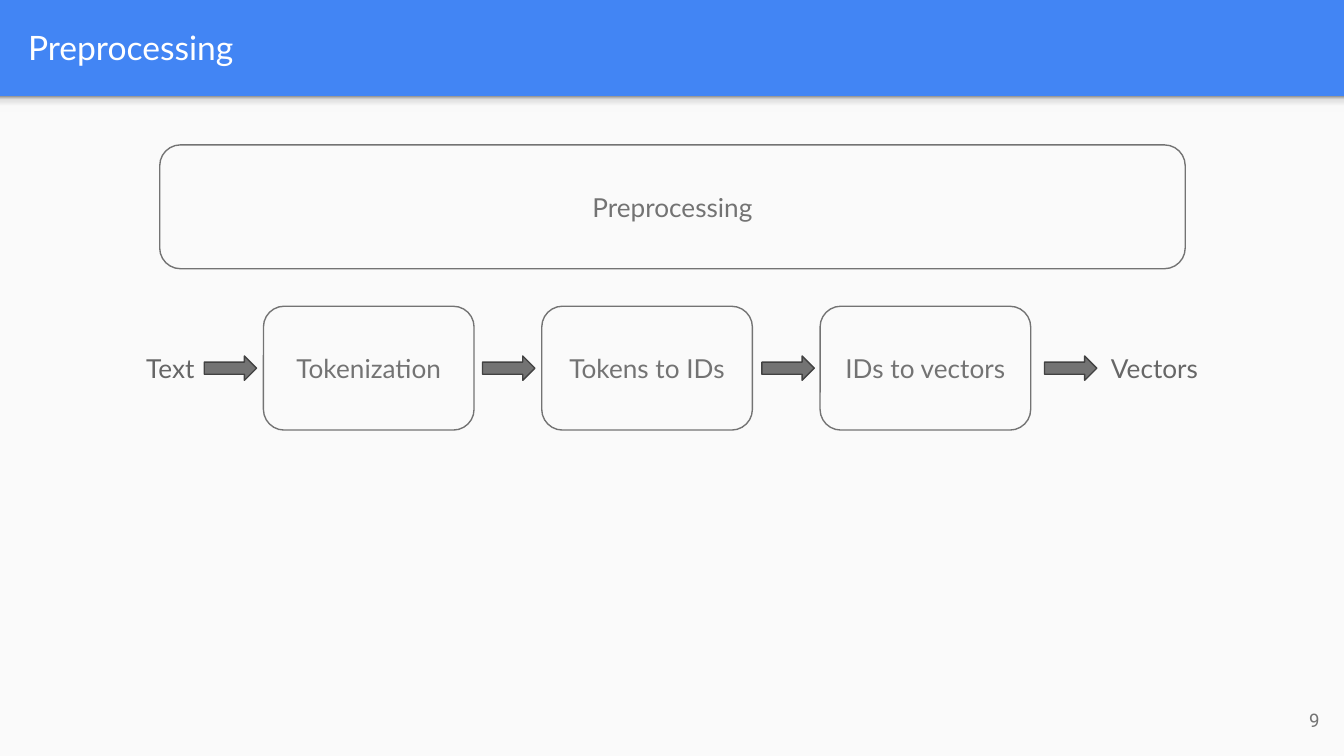
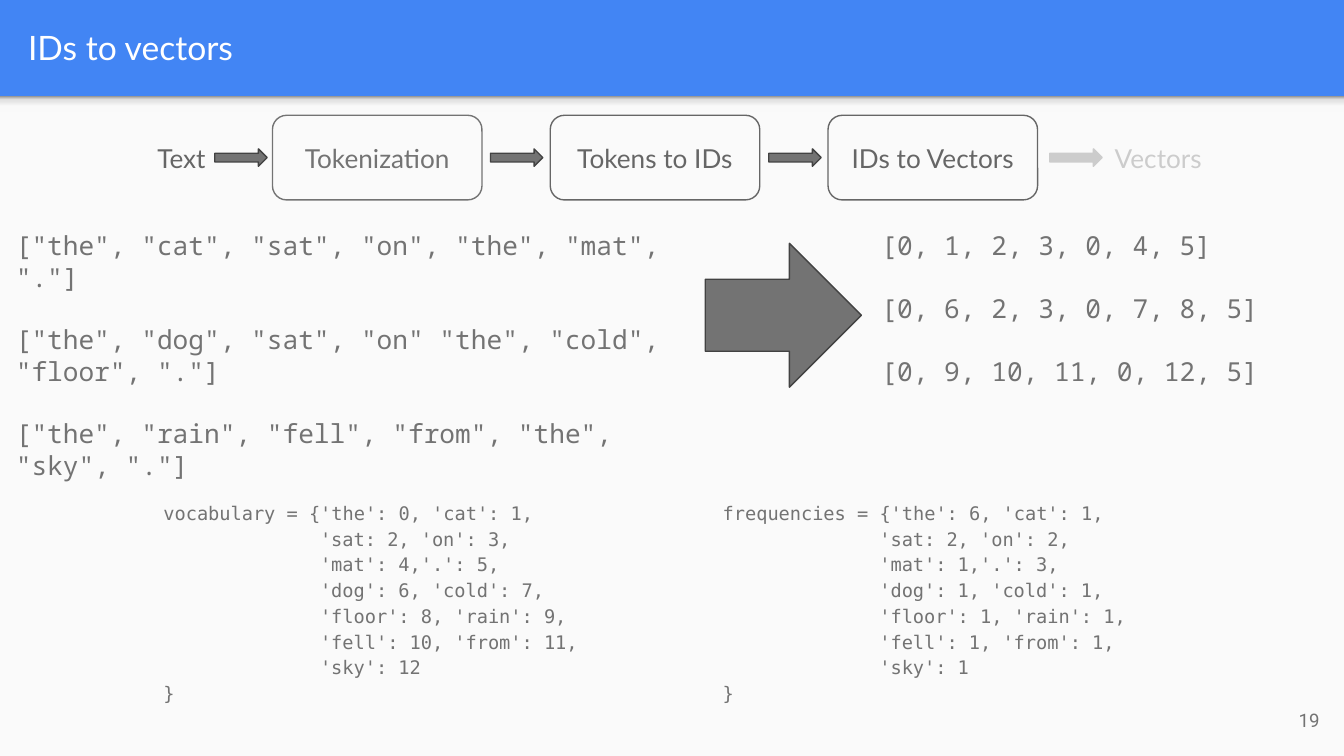
from dataclasses import dataclass

from lxml import etree
from pptx import Presentation
from pptx import util as u
from pptx.dml.color import RGBColor
from pptx.enum import shapes, text
from pptx.oxml import ns


@dataclass(frozen=True)
class Theme:
    """Colours, fonts and type sizes of the deck."""
    band: str = "4285F4"
    paper: str = "FAFAFA"
    white: str = "FFFFFF"
    gray: str = "737373"
    strong: str = "666666"
    edge: str = "424242"
    faded: str = "CCCCCC"
    shade: tuple = ((0, "F9F9F9"), (36, "F9F9F9"), (80, "DEDEDE"), (100, "999999"))
    sans: str = "Lato"
    number: str = "Roboto"
    mono: str = "Noto Sans Mono"
    code: str = "DejaVu Sans Mono"
    title_size: int = 18
    body_size: int = 14
    small_size: int = 10
    line_width: float = 0.75


@dataclass(frozen=True)
class Flow:
    """Places and colours of one row of processing steps, in centimetres."""
    top: float
    height: float
    left: float
    width: float
    pitch: float
    arrow_lefts: tuple
    arrow_height: float
    label_lefts: tuple
    label_height: float
    steps: tuple
    step_colors: tuple
    end_color: str
    end_fill: str
    end_edge: str


THEME = Theme()
PAGE_WIDTH, PAGE_HEIGHT = 25.4, 14.29
BAND_HEIGHT = 1.82
ARROW_WIDTH = 0.99
LABEL_WIDTHS = (1.52, 2.28)
HANGING_INDENT = 2.96
FRAME_FORMAT = {
    "margin_left": u.Cm(0.25), "margin_right": u.Cm(0.25),
    "margin_top": u.Cm(0.25), "margin_bottom": u.Cm(0.25),
    "word_wrap": True, "auto_size": text.MSO_AUTO_SIZE.NONE,
}

OVERVIEW_FLOW = Flow(
    top=5.79, height=2.34, left=4.98, width=3.98, pitch=5.26,
    arrow_lefts=(3.86, 9.12, 14.4, 19.74), arrow_height=0.46,
    label_lefts=(2.46, 20.68), label_height=1.37,
    steps=("Tokenization", "Tokens to IDs", "IDs to vectors"),
    step_colors=(THEME.gray,) * 3,
    end_color=THEME.strong, end_fill=THEME.gray, end_edge=THEME.edge)

VECTOR_FLOW = Flow(
    top=2.18, height=1.6, left=5.15, width=3.96, pitch=5.25,
    arrow_lefts=(4.06, 9.27, 14.53, 19.84), arrow_height=0.33,
    label_lefts=(2.67, 20.75), label_height=0.94,
    steps=("Tokenization", "Tokens to IDs", "IDs to Vectors"),
    step_colors=(THEME.gray, THEME.strong, THEME.strong),
    end_color=THEME.faded, end_fill=THEME.faded, end_edge=THEME.faded)

SENTENCES = (
    '["the", "cat", "sat", "on", "the", "mat", "."]',
    '["the", "dog", "sat", "on" "the", "cold", "floor", "."]',
    '["the", "rain", "fell", "from", "the", "sky", "."]',
)
ID_LISTS = (
    "[0, 1, 2, 3, 0, 4, 5]",
    "[0, 6, 2, 3, 0, 7, 8, 5]",
    "[0, 9, 10, 11, 0, 12, 5]",
)
VOCABULARY = (
    "vocabulary = {'the': 0, 'cat': 1,", "'sat: 2, 'on': 3,",
    "'mat': 4,'.': 5,", "'dog': 6, 'cold': 7,", "'floor': 8, 'rain': 9,",
    "'fell': 10, 'from': 11,", "'sky': 12", "}",
)
FREQUENCIES = (
    "frequencies = {'the': 6, 'cat': 1,", "'sat: 2, 'on': 2,",
    "'mat': 1,'.': 3,", "'dog': 1, 'cold': 1,", "'floor': 1, 'rain': 1,",
    "'fell': 1, 'from': 1,", "'sky': 1", "}",
)


def apply_format(target, values):
    """Set each named attribute on the target."""
    for name, value in values.items():
        setattr(target, name, value)


def place(left, top, width, height):
    """Turn centimetres into slide lengths."""
    return [u.Cm(length) for length in (left, top, width, height)]


def write(box, lines, color=THEME.gray, font=THEME.sans, size=THEME.body_size,
          align=text.PP_ALIGN.LEFT, anchor=text.MSO_ANCHOR.MIDDLE):
    """Fill a box with one paragraph per line and return the paragraphs."""
    frame = box.text_frame
    apply_format(frame, {**FRAME_FORMAT, "vertical_anchor": anchor})
    for index, line in enumerate(lines):
        para = frame.paragraphs[0] if index == 0 else frame.add_paragraph()
        para.alignment = align
        span = para.add_run()
        span.text = line
        apply_format(span.font, {"name": font, "size": u.Pt(size)})
        span.font.color.rgb = RGBColor.from_string(color)
    return frame.paragraphs


def add_label(page, area, lines, **style):
    """Add a text box and return its paragraphs."""
    return write(page.shapes.add_textbox(*place(*area)), lines, **style)


def add_preset(page, kind, area, fill=None, line=None):
    """Add a flat preset shape with optional fill and outline."""
    shape = page.shapes.add_shape(kind, *place(*area))
    shape.shadow.inherit = False
    if fill:
        shape.fill.solid()
        shape.fill.fore_color.rgb = RGBColor.from_string(fill)
    else:
        shape.fill.background()
    if line:
        shape.line.color.rgb = RGBColor.from_string(line)
        shape.line.width = u.Pt(THEME.line_width)
    else:
        shape.line.fill.background()
    return shape


def add_step(page, area, words, color=THEME.gray):
    """Add a rounded, outlined step with centred text."""
    step = add_preset(page, shapes.MSO_SHAPE.ROUNDED_RECTANGLE, area, line=color)
    step.adjustments[0] = 0.167
    write(step, [words], color, align=text.PP_ALIGN.CENTER)


def add_arrow(page, area, fill=THEME.gray, line=THEME.edge):
    """Add a block arrow pointing right."""
    add_preset(page, shapes.MSO_SHAPE.RIGHT_ARROW, area, fill, line)


def add_band_shade(page):
    """Add the soft strip under the title band."""
    strip = add_preset(page, shapes.MSO_SHAPE.RECTANGLE,
                       (0, BAND_HEIGHT, PAGE_WIDTH, 0.3))
    strip.fill.gradient()
    strip.fill.gradient_angle = 90
    stops = strip._element.spPr.find(".//" + ns.qn("a:gsLst"))
    for stop in list(stops):
        stops.remove(stop)
    for position, color in THEME.shade:
        stop = etree.SubElement(stops, ns.qn("a:gs"), pos=str(position * 1000))
        etree.SubElement(stop, ns.qn("a:srgbClr"), val=color)


def add_page(deck, title, number):
    """Add a page with its band, title and number."""
    page = deck.slides.add_slide(deck.slide_layouts[5])
    add_preset(page, shapes.MSO_SHAPE.RECTANGLE,
               (0, BAND_HEIGHT, PAGE_WIDTH, PAGE_HEIGHT - BAND_HEIGHT), THEME.paper)
    add_band_shade(page)
    heading = page.shapes.title
    left, top, width, height = place(0.28, 0.05, 24.51, 1.68)
    apply_format(heading, {"left": left, "top": top, "width": width, "height": height})
    write(heading, [title], THEME.white, size=THEME.title_size)
    add_label(page, (23.67, 13.06, 1.52, 1.09), [str(number)], font=THEME.number,
              size=THEME.small_size, align=text.PP_ALIGN.RIGHT)
    return page


def add_flow(page, flow):
    """Add a row of steps joined by arrows between two labels."""
    middle = flow.top + flow.height / 2
    for index, (words, color) in enumerate(zip(flow.steps, flow.step_colors)):
        left = flow.left + index * flow.pitch
        add_step(page, (left, flow.top, flow.width, flow.height), words, color)
    for index, left in enumerate(flow.arrow_lefts):
        last = index == len(flow.arrow_lefts) - 1
        colors = (flow.end_fill, flow.end_edge) if last else (THEME.gray, THEME.edge)
        add_arrow(page, (left, middle - flow.arrow_height / 2,
                         ARROW_WIDTH, flow.arrow_height), *colors)
    labels = zip(("Text", "Vectors"), flow.label_lefts, LABEL_WIDTHS,
                 (THEME.strong, flow.end_color))
    for words, left, width, color in labels:
        add_label(page, (left, middle - flow.label_height / 2, width, flow.label_height),
                  [words], color=color, align=text.PP_ALIGN.CENTER)


def add_token_lists(page, left, width, lines):
    """Add spaced monospaced lists."""
    paras = add_label(page, (left, 4.09, width, 3.73), lines, font=THEME.mono,
                      anchor=text.MSO_ANCHOR.TOP)
    for para in paras[1:]:
        para.space_before = u.Pt(16.8)


def add_code(page, left, lines):
    """Add a dictionary listing whose inner lines align after the brace."""
    paras = add_label(page, (left, 9.17, 8.81, 4.42), lines, font=THEME.code,
                      size=THEME.small_size, anchor=text.MSO_ANCHOR.TOP)
    for para in paras:
        para.line_spacing = 1.15
    for para in paras[1:-1]:
        apply_indent = para._p.get_or_add_pPr().set
        apply_indent("marL", str(u.Cm(HANGING_INDENT)))
        apply_indent("indent", "0")


def build_overview(deck):
    """Build the preprocessing overview."""
    page = add_page(deck, "Preprocessing", 9)
    add_step(page, (3.02, 2.74, 19.38, 2.34), "Preprocessing")
    add_flow(page, OVERVIEW_FLOW)


def build_vectors(deck):
    """Build the page that maps tokens to numbers."""
    page = add_page(deck, "IDs to vectors", 19)
    add_flow(page, VECTOR_FLOW)
    add_token_lists(page, 0.05, 13.03, SENTENCES)
    add_arrow(page, (13.33, 4.6, 2.95, 2.72))
    add_token_lists(page, 16.41, 9.17, ID_LISTS)
    add_code(page, 2.84, VOCABULARY)
    add_code(page, 13.41, FREQUENCIES)


def main():
    """Build and save the deck."""
    deck = Presentation()
    apply_format(deck, {"slide_width": u.Cm(PAGE_WIDTH), "slide_height": u.Cm(PAGE_HEIGHT)})
    backdrop = deck.slide_master.background.fill
    backdrop.solid()
    backdrop.fore_color.rgb = RGBColor.from_string(THEME.band)
    build_overview(deck)
    build_vectors(deck)
    deck.save("out.pptx")


if __name__ == "__main__":
    main()
